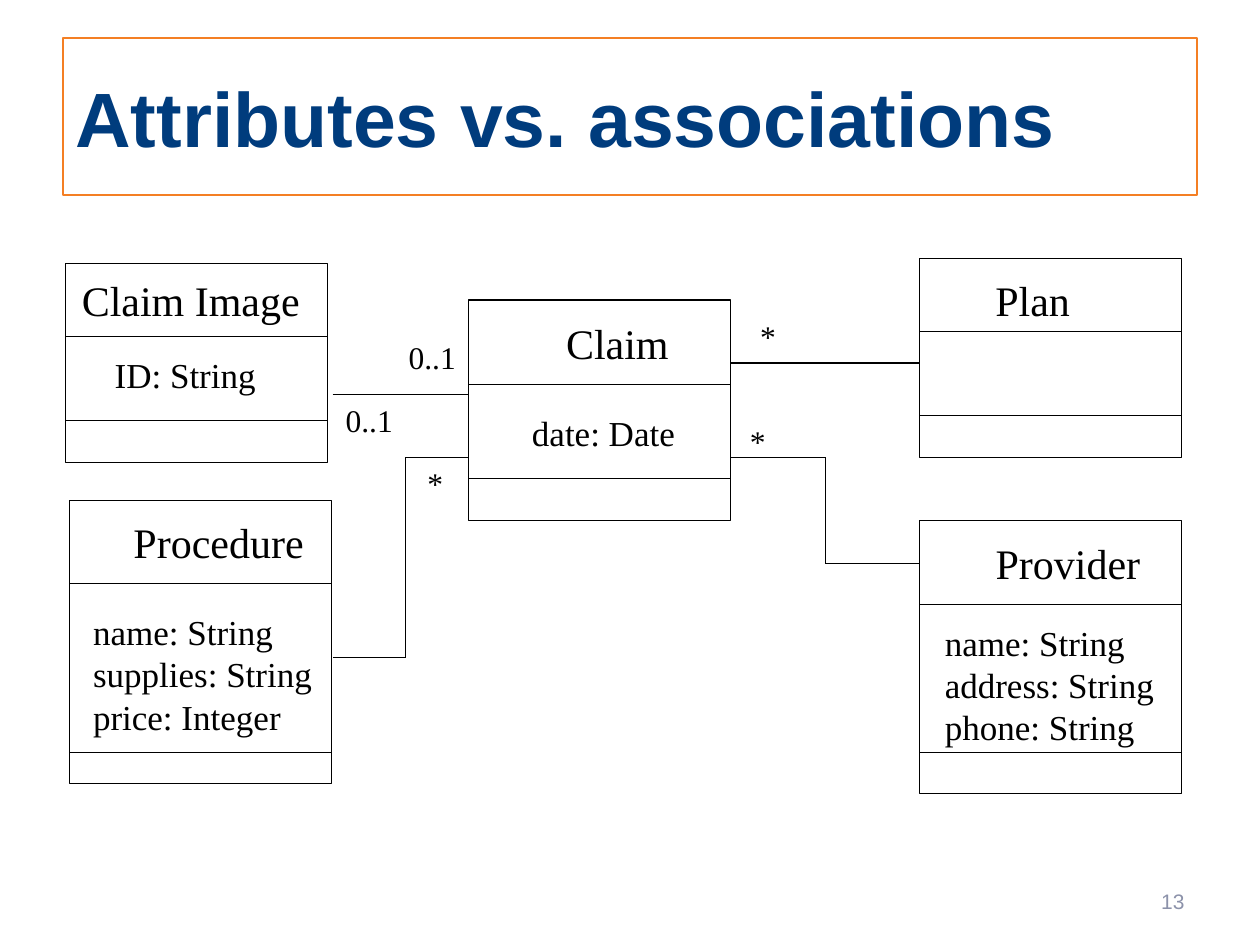
from dataclasses import dataclass
from itertools import pairwise

from lxml.etree import SubElement
from pptx import Presentation
from pptx.dml.color import RGBColor
from pptx.enum.shapes import MSO_CONNECTOR, MSO_SHAPE
from pptx.enum.text import MSO_ANCHOR, PP_ALIGN
from pptx.oxml.ns import qn
from pptx.util import Inches, Pt


@dataclass(frozen=True)
class Theme:
    heading_font: str = "Arial"
    diagram_font: str = "Times New Roman"
    navy: str = "003C7D"
    orange: str = "F47F24"
    grey: str = "8C92AA"
    black: str = "000000"
    title_size: int = 44
    class_size: int = 24
    attribute_size: int = 20
    multiplicity_size: int = 18
    number_size: int = 12
    frame_width: float = 1
    line_width: float = 0.75


THEME = Theme()

# Content: lengths in inches, text boxes as (left, top, width, height)
TITLE = "Attributes vs. associations"
SLIDE_NUMBER = "13"
CLASS_WIDTH = 2.08
CLASSES = [
    {"name": "Claim Image", "name_box": (0.55, 2.13, 1.93, 0.5),
     "attributes": ["ID: String"], "attribute_box": (0.81, 2.76, 1.32, 0.43),
     "left": 0.52, "top": 2.09, "height": 1.58, "dividers": (2.67, 3.34)},
    {"name": "Plan", "name_box": (7.8, 2.13, 0.79, 0.5),
     "attributes": [], "attribute_box": None,
     "left": 7.3, "top": 2.05, "height": 1.58, "dividers": (2.63, 3.3)},
    {"name": "Claim", "name_box": (4.39, 2.47, 1.02, 0.5),
     "attributes": ["date: Date"], "attribute_box": (4.12, 3.22, 1.34, 0.43),
     "left": 3.72, "top": 2.38, "height": 1.75, "dividers": (3.05, 3.8)},
    {"name": "Procedure", "name_box": (0.96, 4.05, 1.55, 0.5),
     "attributes": ["name: String", "supplies: String", "price: Integer"],
     "attribute_box": (0.64, 4.8, 1.94, 1.1),
     "left": 0.55, "top": 3.97, "height": 2.25, "dividers": (4.63, 5.97)},
    {"name": "Provider", "name_box": (7.8, 4.22, 1.35, 0.5),
     "attributes": ["name: String", "address: String", "phone: String"],
     "attribute_box": (7.4, 4.88, 1.86, 1.1),
     "left": 7.3, "top": 4.13, "height": 2.17, "dividers": (4.8, 5.97)},
]
ASSOCIATIONS = [
    [(2.64, 3.13), (3.72, 3.13)],
    [(5.8, 2.88), (7.3, 2.88)],
    [(5.8, 3.63), (6.55, 3.63), (6.55, 4.47), (7.3, 4.47)],
    [(3.72, 3.63), (3.22, 3.63), (3.22, 5.22), (2.64, 5.22)],
]
MULTIPLICITIES = [
    ("0..1", 2.64, 3.13), ("0..1", 3.14, 2.63),
    ("*", 3.29, 3.63), ("*", 5.93, 2.47), ("*", 5.85, 3.3),
]
MULTIPLICITY_WIDTHS = {"0..1": 0.58, "*": 0.33}

presentation = Presentation()
presentation.slide_width = Inches(10)
presentation.slide_height = Inches(7.5)
slide = presentation.slides.add_slide(presentation.slide_layouts[6])


def write(shape, lines, size, color=THEME.black, font=THEME.diagram_font,
          align=PP_ALIGN.CENTER, bold=False, anchor=MSO_ANCHOR.TOP, wrap=False):
    frame = shape.text_frame
    frame.word_wrap = wrap
    frame.vertical_anchor = anchor
    for index, line in enumerate(lines):
        paragraph = frame.add_paragraph() if index else frame.paragraphs[0]
        paragraph.alignment = align
        run = paragraph.add_run()
        run.text = line
        run.font.name = font
        run.font.size = Pt(size)
        run.font.bold = bold
        run.font.color.rgb = RGBColor.from_string(color)


def add_text(box, lines, size, **style):
    write(slide.shapes.add_textbox(*map(Inches, box)), lines, size, **style)


def add_frame(box, color=THEME.black, width=THEME.line_width):
    shape = slide.shapes.add_shape(MSO_SHAPE.RECTANGLE, *map(Inches, box))
    shape.shadow.inherit = False
    shape.fill.background()
    shape.line.color.rgb = RGBColor.from_string(color)
    shape.line.width = Pt(width)
    return shape


def add_line(start, end):
    connector = slide.shapes.add_connector(
        MSO_CONNECTOR.STRAIGHT, *map(Inches, (*start, *end)))
    connector.line.color.rgb = RGBColor.from_string(THEME.black)
    connector.line.width = Pt(THEME.line_width)
    SubElement(connector.element.spPr, qn("a:effectLst"))


# Title and slide number
title = add_frame((0.5, 0.3, 9, 1.25), THEME.orange, THEME.frame_width)
write(title, [TITLE], THEME.title_size, color=THEME.navy, font=THEME.heading_font,
      align=PP_ALIGN.LEFT, bold=True, anchor=MSO_ANCHOR.MIDDLE, wrap=True)
add_text((7.17, 6.95, 2.33, 0.4), [SLIDE_NUMBER], THEME.number_size,
         color=THEME.grey, font=THEME.heading_font, align=PP_ALIGN.RIGHT,
         anchor=MSO_ANCHOR.MIDDLE, wrap=True)

# Classes with their compartments
for item in CLASSES:
    left = item["left"]
    add_frame((left, item["top"], CLASS_WIDTH, item["height"]))
    for divider in item["dividers"]:
        add_line((left, divider), (left + CLASS_WIDTH, divider))
    add_text(item["name_box"], [item["name"]], THEME.class_size)
    if item["attributes"]:
        several = len(item["attributes"]) > 1
        add_text(item["attribute_box"], item["attributes"], THEME.attribute_size,
                 align=PP_ALIGN.LEFT if several else PP_ALIGN.CENTER)

# Associations and multiplicities
for route in ASSOCIATIONS:
    for start, end in pairwise(route):
        add_line(start, end)
for label, left, top in MULTIPLICITIES:
    add_text((left, top, MULTIPLICITY_WIDTHS[label], 0.4), [label],
             THEME.multiplicity_size)

presentation.save("out.pptx")
